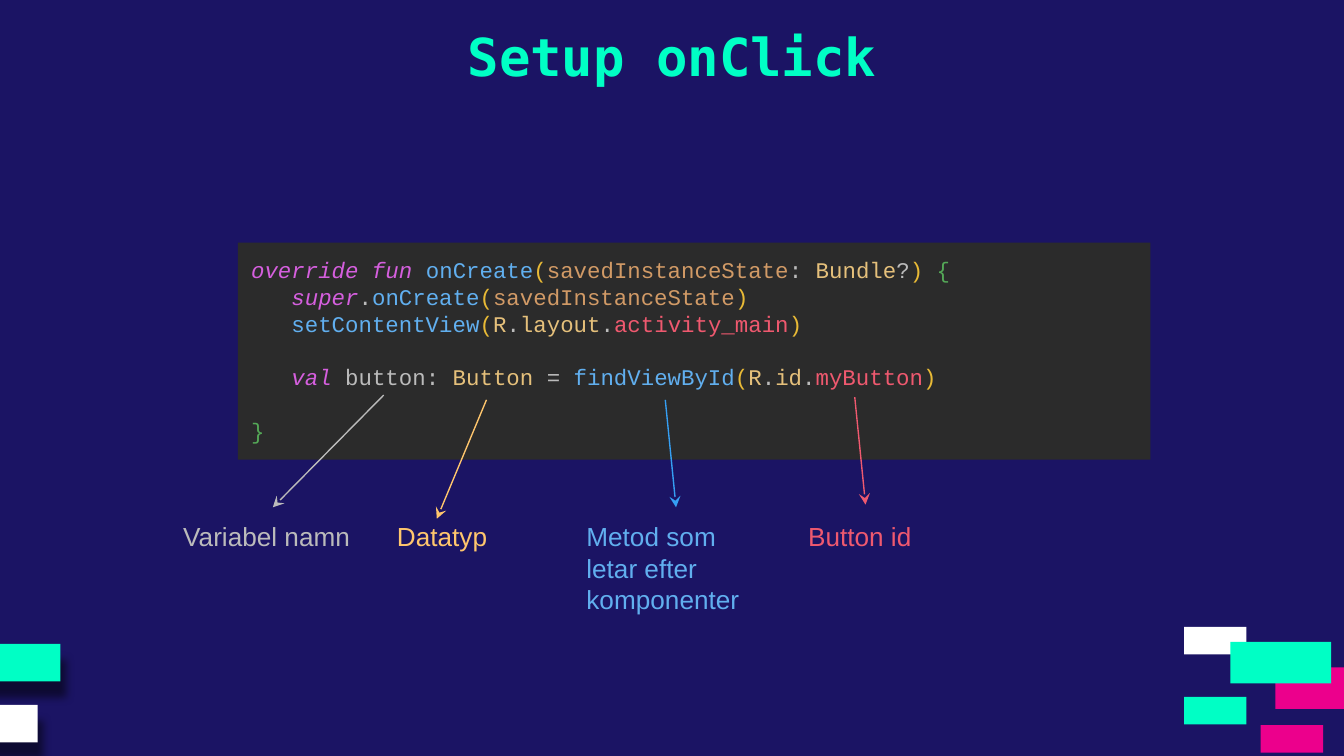
import pptx
import pptx.util
import pptx.dml.color
import pptx.enum.shapes
import pptx.enum.text
import pptx.oxml
import pptx.oxml.ns

PX = 4572  # EMU in one px, 200 px to the inch

BACKGROUND, PANEL, MINT, WHITE, PINK = "1B1464", "2B2B2B", "00FFC5", "FFFFFF", "EC008C"
KEYWORD, METHOD, BRACKET, ARGUMENT = "D55FDE", "61AFEF", "E8BA36", "D19A66"
PLAIN, TYPE, BRACE, RESOURCE = "BBBBBB", "E5C07B", "54A857", "EF596F"
DATATYPE, ARROW_BLUE = "FFC66D", "359FF4"

CODE_LINES = [
    [("override fun ", KEYWORD), ("onCreate", METHOD), ("(", BRACKET),
     ("savedInstanceState", ARGUMENT), (": ", PLAIN), ("Bundle", TYPE),
     ("?", PLAIN), (") ", BRACKET), ("{", BRACE)],
    [("   ", PLAIN), ("super", KEYWORD), (".", PLAIN), ("onCreate", METHOD),
     ("(", BRACKET), ("savedInstanceState", ARGUMENT), (")", BRACKET)],
    [("   ", PLAIN), ("setContentView", METHOD), ("(", BRACKET), ("R", TYPE),
     (".", PLAIN), ("layout", TYPE), (".", PLAIN),
     ("activity_main", RESOURCE), (")", BRACKET)],
    [],
    [("   ", PLAIN), ("val ", KEYWORD), ("button: ", PLAIN),
     ("Button ", TYPE), ("= ", PLAIN), ("findViewById", METHOD),
     ("(", BRACKET), ("R", TYPE), (".", PLAIN), ("id", TYPE), (".", PLAIN),
     ("myButton", RESOURCE), (")", BRACKET)],
    [],
    [("}", BRACE)],
]

# text, colour, left, width, height, arrow colour, arrow tip, arrow start;
# places are relative to the label row, and no tip means the label's top middle
LABELS = [
    ("Variabel namn", PLAIN, 0, 306, 88, PLAIN, None, (318, -167)),
    ("Datatyp", DATATYPE, 318, 264, 88, DATATYPE, (397, 17), (471, -160)),
    ("Metod som letar efter komponenter", METHOD, 600, 306, 182,
     ARROW_BLUE, None, (737, -160)),
    ("Button id", RESOURCE, 930, 306, 88, RESOURCE, (1035, -4), (1019, -164)),
]


def px(*lengths):
    return [pptx.util.Emu(length * PX) for length in lengths]


def colour(hex_string):
    return pptx.dml.color.RGBColor.from_string(hex_string)


def append_element(parent, tag, **attributes):
    element = parent.makeelement(pptx.oxml.ns.qn(tag), attributes)
    parent.append(element)
    return element


def add_rectangle(slide, left, top, width, height, fill):
    shape = slide.shapes.add_shape(pptx.enum.shapes.MSO_SHAPE.RECTANGLE,
                                   *px(left, top, width, height))
    shape.shadow.inherit = False
    shape.fill.solid()
    shape.fill.fore_color.rgb = colour(fill)
    shape.line.fill.background()
    return shape


def prepare_frame(shape):
    frame = shape.text_frame
    frame.word_wrap = True
    frame.vertical_anchor = pptx.enum.text.MSO_ANCHOR.TOP
    (frame.margin_left, frame.margin_top,
     frame.margin_right, frame.margin_bottom) = px(20, 20, 20, 20)
    return frame


def add_text(paragraph, text, *, font, size, fill, bold=False, italic=False,
             align=pptx.enum.text.PP_ALIGN.LEFT):
    paragraph.alignment = align
    run = paragraph.add_run()
    run.text = text
    run.font.name = font
    run.font.size = pptx.util.Pt(size)
    run.font.bold = bold
    run.font.italic = italic
    run.font.color.rgb = colour(fill)


def add_title(slide, left, top, width, height):
    box = slide.shapes.add_textbox(*px(left, top, width, height))
    add_text(prepare_frame(box).paragraphs[0], "Setup onClick",
             font="DejaVu Sans Mono", size=28, fill=MINT, bold=True,
             align=pptx.enum.text.PP_ALIGN.CENTER)


def add_left_blocks(slide, left, top):
    for x, y, fill in [(34, 0, MINT), (0, 91, WHITE)]:
        block = add_rectangle(slide, left + x, top + y, 145, 56, fill)
        effects = block._element.spPr.find(pptx.oxml.ns.qn("a:effectLst"))
        shadow = append_element(effects, "a:outerShdw", blurRad="57150",
                                dist="114300", dir="4200000", algn="bl",
                                rotWithShape="0")
        black = append_element(shadow, "a:srgbClr", val="000000")
        append_element(black, "a:alpha", val="50000")


def add_right_blocks(slide, left, top):
    small, large = (93, 41), (150, 62)
    for x, y, size, fill in [(136, 60, large, PINK), (0, 0, small, WHITE),
                             (0, 104, small, MINT), (114, 146, small, PINK),
                             (69, 22, large, MINT)]:
        add_rectangle(slide, left + x, top + y, *size, fill)


def add_code(slide, left, top, width, height):
    frame = prepare_frame(add_rectangle(slide, left, top, width, height, PANEL))
    for index, line in enumerate(CODE_LINES):
        paragraph = frame.add_paragraph() if index else frame.paragraphs[0]
        paragraph.alignment = pptx.enum.text.PP_ALIGN.LEFT
        for text, fill in line:
            add_text(paragraph, text, font="Courier New", size=12, fill=fill,
                     italic=fill == KEYWORD)
        if not line:
            append_element(paragraph._p, "a:endParaRPr", sz="1200")


def add_arrow(slide, tip, start, fill, label=None):
    arrow = slide.shapes.add_connector(
        pptx.enum.shapes.MSO_CONNECTOR.STRAIGHT, *px(*tip, *start))
    if label is not None:
        arrow.begin_connect(label, 0)
    arrow.line.color.rgb = colour(fill)
    arrow.line.width = pptx.util.Pt(0.75)
    append_element(arrow.line._get_or_add_ln(), "a:headEnd",
                   type="stealth", w="med", len="med")
    append_element(arrow._element.spPr, "a:effectLst")


def add_labels(slide, left, top):
    boxes = []
    for text, fill, x, width, height, *_ in LABELS:
        box = slide.shapes.add_textbox(*px(left + x, top, width, height))
        add_text(prepare_frame(box).paragraphs[0], text, font="Arial",
                 size=14, fill=fill)
        boxes.append(box)
    for box, (_, _, x, width, _, fill, tip, start) in zip(boxes, LABELS):
        tip_x, tip_y = tip or (x + width // 2, 0)
        add_arrow(slide, (left + tip_x, top + tip_y),
                  (left + start[0], top + start[1]), fill,
                  label=None if tip else box)


def main():
    presentation = pptx.Presentation()
    presentation.slide_width, presentation.slide_height = px(2000, 1125)
    slide = presentation.slides.add_slide(presentation.slide_layouts[6])
    slide.background.fill.solid()
    slide.background.fill.fore_color.rgb = colour(BACKGROUND)

    # Corner decoration
    add_left_blocks(slide, -89, 958)
    add_right_blocks(slide, 1762, 933)
    # Title, code and its explanation
    add_title(slide, 622, 16, 756, 146)
    add_code(slide, 354, 361, 1358, 323)
    add_labels(slide, 253, 755)
    presentation.save("out.pptx")


if __name__ == "__main__":
    main()
